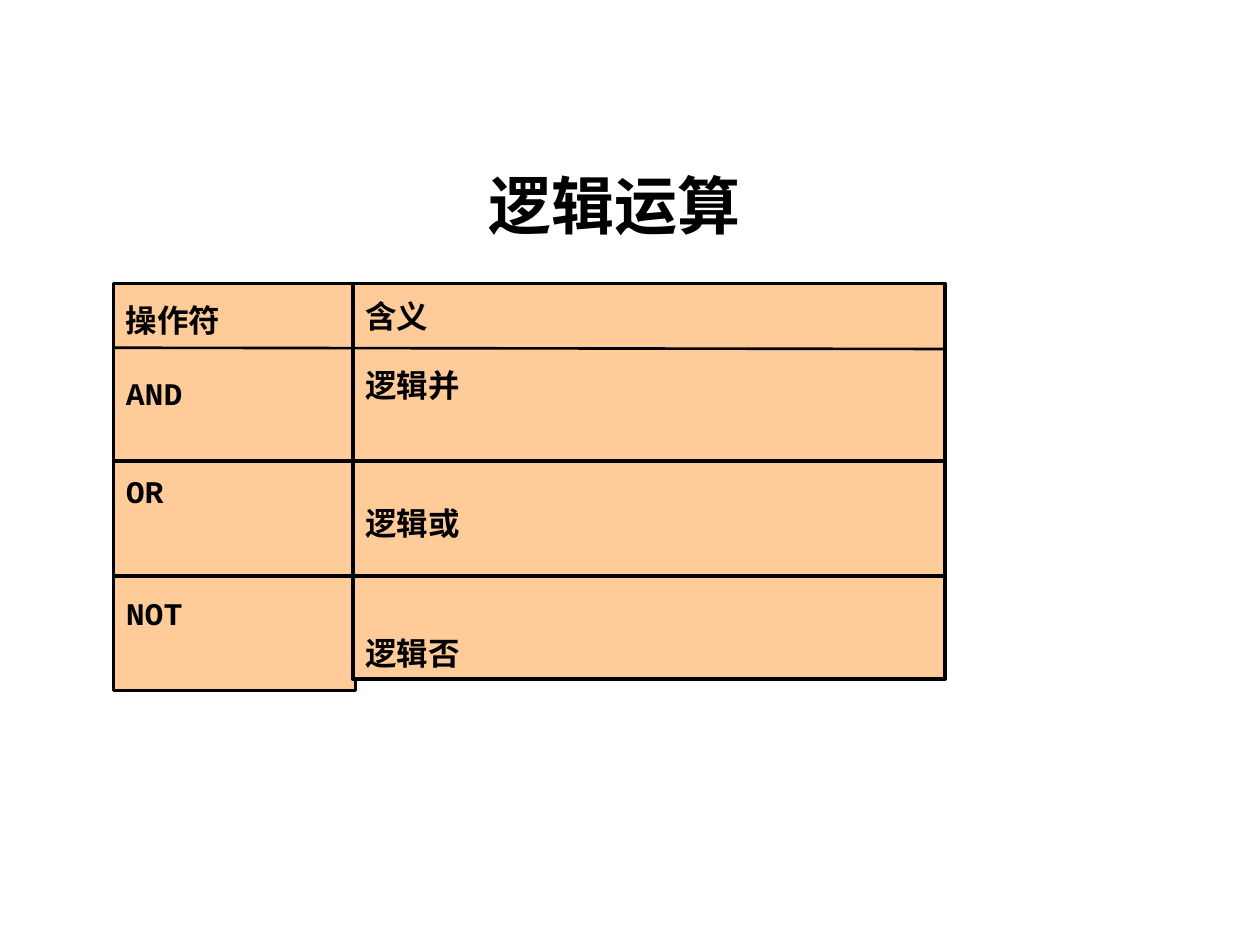
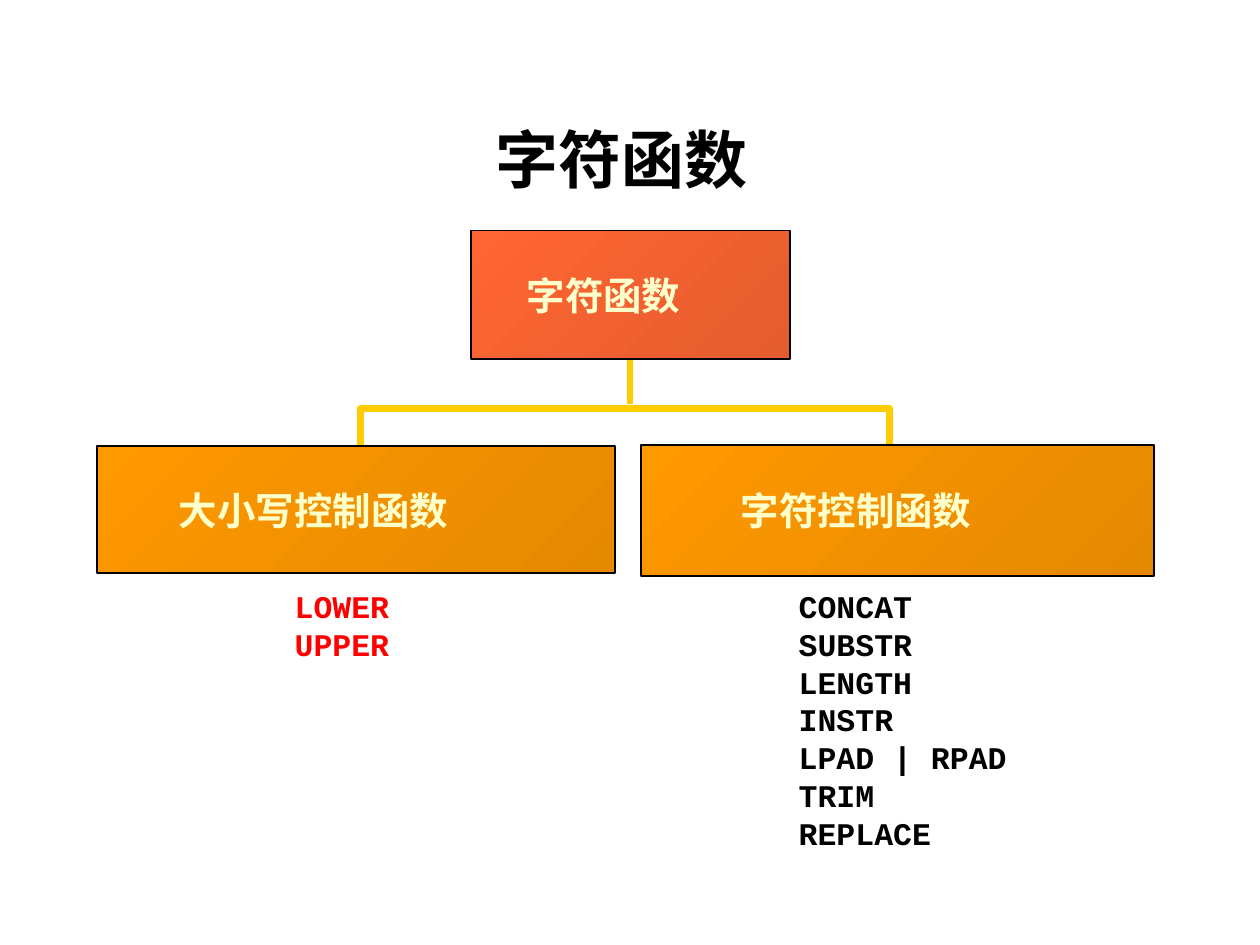
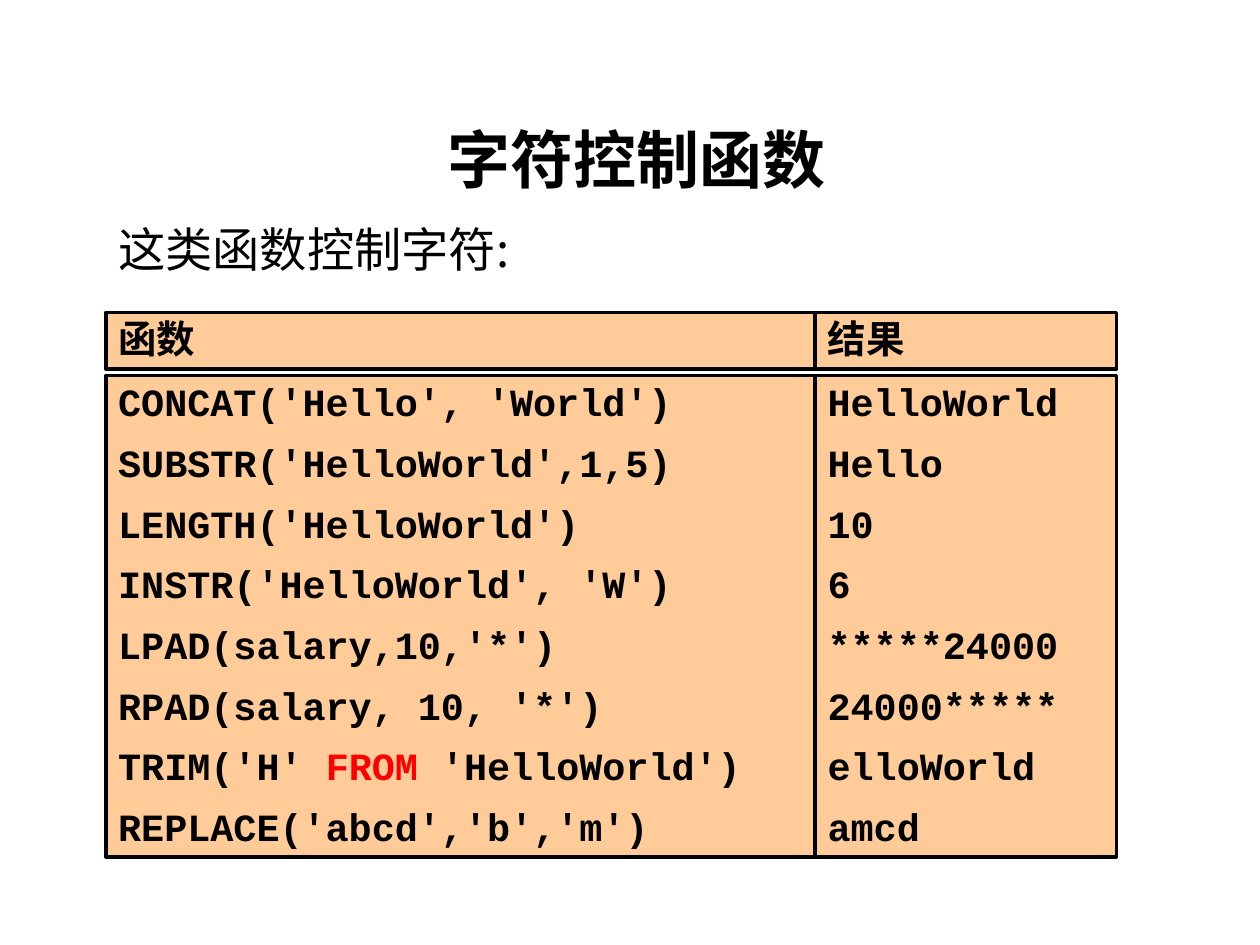
"""Build three slides on logical operators and character functions."""
from dataclasses import dataclass

from lxml.etree import SubElement
from pptx import Presentation
from pptx.dml.color import RGBColor
from pptx.enum.shapes import MSO_CONNECTOR, MSO_SHAPE
from pptx.enum.text import MSO_ANCHOR, MSO_AUTO_SIZE, PP_ALIGN
from pptx.oxml.ns import qn
from pptx.util import Inches, Pt

COLORS = {
    "ink": "000000",
    "panel": "FFCC99",
    "accent": "FF0000",
    "branch": "FFCC00",
    "cream": "FFFFCC",
    "root": "FF6633",
    "root_end": "E55C2E",
    "group": "FF9900",
    "group_end": "E58900",
}
CJK, SANS, MONO = "Noto Sans CJK SC", "Arial", "Courier New"


def rgb(color):
    """Return the named colour."""
    return RGBColor.from_string(COLORS[color])


@dataclass
class Style:
    """Hold the look of one block of text."""
    size: float
    font: str = SANS
    color: str = "ink"
    bold: bool = True
    spacing: float = 1.0
    before: float = 0
    align: PP_ALIGN = PP_ALIGN.LEFT


@dataclass
class Line:
    """Hold a paragraph that departs from its block's style."""
    runs: list
    font: str = None
    before: float = None


class Deck:
    """Hold the presentation, its style and the current slide."""

    def __init__(self):
        self.prs = Presentation()
        self.prs.slide_width, self.prs.slide_height = Inches(10), Inches(7.5)
        self.slide = None

    def add_slide(self, title, left, top):
        """Start a slide with its title placed."""
        self.slide = self.prs.slides.add_slide(self.prs.slide_layouts[5])
        heading = self.slide.shapes.title
        heading.left, heading.top = Inches(left), Inches(top)
        heading.width, heading.height = Inches(8.42), Inches(1.57)
        self.fill_text(heading, [title], Style(36, CJK, align=PP_ALIGN.CENTER))

    def fill_text(self, shape, lines, style, anchor=MSO_ANCHOR.TOP, inset=0.1):
        """Fill a shape with paragraphs, run by run."""
        frame = shape.text_frame
        frame.word_wrap = True
        frame.auto_size = MSO_AUTO_SIZE.NONE
        frame.vertical_anchor = anchor
        frame.margin_left, frame.margin_right = Inches(inset), Inches(0.1)
        frame.margin_top = frame.margin_bottom = Inches(0.05)
        for index, entry in enumerate(lines):
            line = entry if isinstance(entry, Line) else Line([(entry, style.color)])
            paragraph = frame.paragraphs[0] if index == 0 else frame.add_paragraph()
            paragraph.alignment = style.align
            paragraph.line_spacing = style.spacing
            before = style.before if line.before is None else line.before
            paragraph.space_before = Pt(before)
            for text, color in line.runs:
                run = paragraph.add_run()
                run.text = text
                run.font.name = line.font or style.font
                run.font.size = Pt(style.size)
                run.font.bold = style.bold
                run.font.color.rgb = rgb(color)

    def text(self, box, lines, style):
        """Add a plain text box."""
        self.fill_text(self.slide.shapes.add_textbox(*map(Inches, box)), lines, style)

    def rectangle(self, box, weight):
        """Add an outlined rectangle without shadow."""
        shape = self.slide.shapes.add_shape(MSO_SHAPE.RECTANGLE, *map(Inches, box))
        shape.shadow.inherit = False
        shape.line.color.rgb = rgb("ink")
        shape.line.width = Pt(weight)
        return shape

    def panel(self, box, lines, style):
        """Add a flat column of text."""
        shape = self.rectangle(box, 2)
        shape.fill.solid()
        shape.fill.fore_color.rgb = rgb("panel")
        self.fill_text(shape, lines, style)

    def node(self, box, label, color, inset):
        """Add a gradient box of the tree."""
        shape = self.rectangle(box, 1)
        shape.fill.gradient()
        shape.fill.gradient_angle = 315
        for position, (stop, name) in enumerate(
                zip(shape.fill.gradient_stops, (color, f"{color}_end"))):
            stop.position = position
            stop.color.rgb = rgb(name)
        self.fill_text(shape, [label], Style(22, color="cream"), MSO_ANCHOR.MIDDLE, inset)

    def rule(self, start, end, color="ink", weight=2):
        """Add a straight line."""
        line = self.slide.shapes.add_connector(
            MSO_CONNECTOR.STRAIGHT, *map(Inches, start + end))
        line.line.color.rgb = rgb(color)
        line.line.width = Pt(weight)
        SubElement(line._element.spPr, qn("a:effectLst"))

    def bracket(self, points, color, weight):
        """Add an open outline through the points."""
        first, *rest = [tuple(map(Inches, point)) for point in points]
        builder = self.slide.shapes.build_freeform(*first)
        builder.add_line_segments(rest, close=False)
        shape = builder.convert_to_shape()
        shape.shadow.inherit = False
        shape.fill.background()
        shape.line.color.rgb = rgb(color)
        shape.line.width = Pt(weight)


def logic_slide(deck):
    """Show the logical operators and their meaning."""
    deck.add_slide("逻辑运算", 0.67, 1.27)
    operators = ["操作符"] + [
        Line([(name, "ink")], MONO, before)
        for name, before in (("AND", 13.5), ("OR", 28.3), ("NOT", 41.5))]
    meanings = ["含义", "逻辑并", Line([("逻辑或", "ink")], before=53),
                Line([("逻辑否", "ink")], before=48.5)]
    deck.panel((0.9, 2.25, 1.92, 3.23), operators, Style(18, spacing=1.3, before=13.5))
    deck.panel((2.8, 2.25, 4.7, 3.14), meanings, Style(18, spacing=1.2, before=13.5))
    deck.rule((0.89, 2.76), (7.49, 2.77), weight=1.5)
    for y in (3.66, 4.57):
        deck.rule((0.89, y), (7.5, y))


def tree_slide(deck):
    """Show the two groups of character functions."""
    deck.add_slide("字符函数", 0.72, 0.91)
    deck.node((3.74, 1.83, 2.53, 1.02), "字符函数", "root", 0.44)
    deck.text((2.24, 4.61, 1, 0.7), ["LOWER", "UPPER"], Style(18, MONO, "accent"))
    deck.text((6.24, 4.61, 1.88, 2.2),
              ["CONCAT", "SUBSTR", "LENGTH", "INSTR", "LPAD | RPAD", "TRIM", "REPLACE"],
              Style(18, MONO))
    deck.rule((5, 3.21), (5, 2.86), "branch", 4)
    deck.bracket([(2.86, 3.78), (2.86, 3.24), (7.06, 3.24), (7.06, 3.82)], "branch", 4)
    deck.node((0.77, 3.54, 4.11, 1.01), "大小写控制函数", "group", 0.65)
    deck.node((5.09, 3.53, 4.07, 1.04), "字符控制函数", "group", 0.79)


def functions_slide(deck):
    """Show calls of character functions and their results."""
    deck.add_slide("字符控制函数", 0.84, 0.91)
    trim = Line([("TRIM('H' ", "ink"), ("FROM", "accent"), (" 'HelloWorld')", "ink")])
    examples = [
        ("CONCAT('Hello', 'World')", "HelloWorld"),
        ("SUBSTR('HelloWorld',1,5)", "Hello"),
        ("LENGTH('HelloWorld')", "10"),
        ("INSTR('HelloWorld', 'W')", "6"),
        ("LPAD(salary,10,'*')", "*****24000"),
        ("RPAD(salary, 10, '*')", "24000*****"),
        (trim, "elloWorld"),
        ("REPLACE('abcd','b','m')", "amcd"),
    ]
    calls, results = zip(*examples)
    code = Style(22, MONO, spacing=0.95, before=9.6)
    header = Style(22, spacing=0.95, before=9.6)
    for left, width, heading, lines in ((0.84, 5.66, "函数", calls),
                                        (6.47, 2.39, "结果", results)):
        deck.panel((left, 2.98, width, 3.82), lines, code)
        deck.panel((left, 2.48, width, 0.45), [heading], header)
    deck.text((0.84, 1.7, 8.42, 0.56), ["这类函数控制字符:"],
              Style(27, CJK, bold=False, before=6.8))


def main():
    """Build and save the deck."""
    deck = Deck()
    logic_slide(deck)
    tree_slide(deck)
    functions_slide(deck)
    deck.prs.save("out.pptx")


if __name__ == "__main__":
    main()
